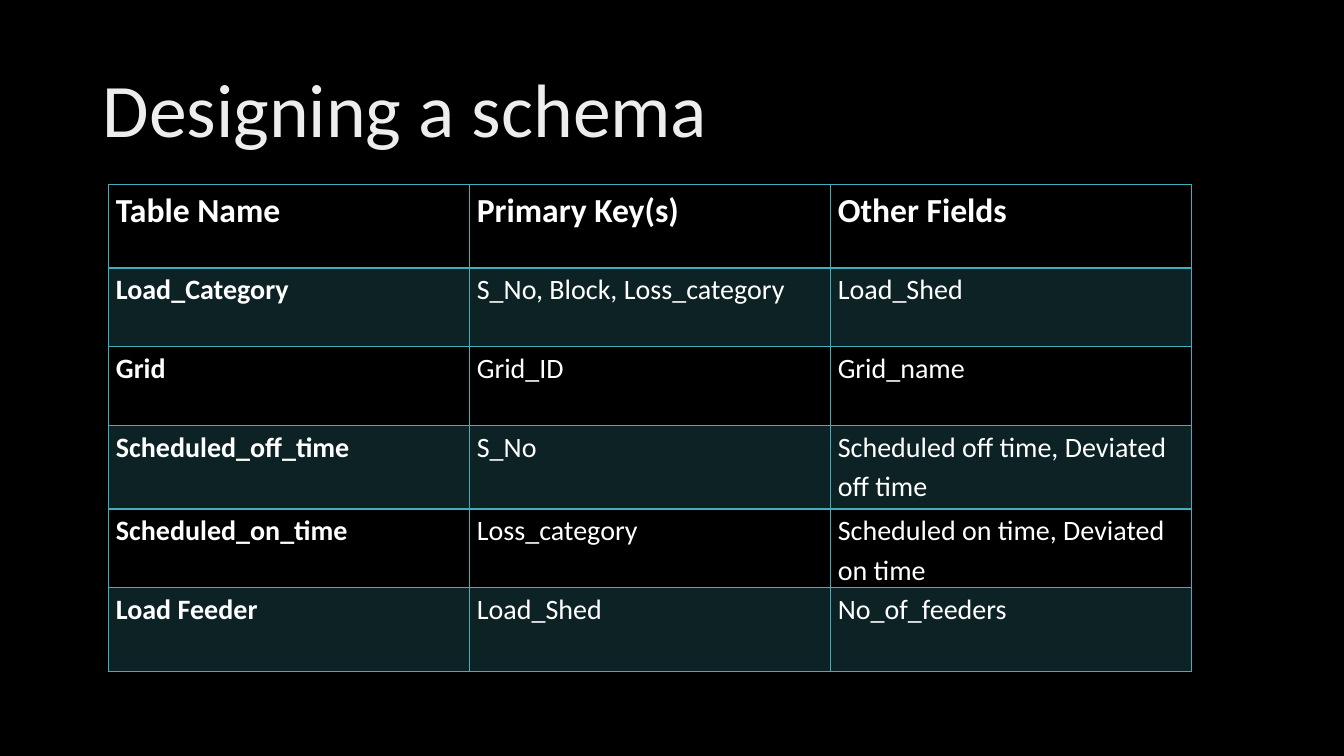
"""Build the slide "Designing a schema": a title above a table of schema tables and keys."""
from lxml import etree
from pptx import Presentation
from pptx import util as u
from pptx.dml.color import RGBColor
from pptx.enum import text
from pptx.oxml.ns import qn

COLORS = {"background": "000000", "title": "EDEDED", "text": "FFFFFF", "accent": "41AEBD"}
FONT = "Calibri"
ROW_HEIGHTS = [0.83, 0.78, 0.78, 0.83, 0.78, 0.83]
COLUMN_WIDTH = 3.58
SCHEMA = [
    ["Table Name", "Primary Key(s)", "Other Fields"],
    ["Load_Category", "S_No, Block, Loss_category", "Load_Shed"],
    ["Grid", "Grid_ID", "Grid_name"],
    ["Scheduled_off_time", "S_No", "Scheduled off time, Deviated off time"],
    ["Scheduled_on_time", "Loss_category", "Scheduled on time, Deviated on time"],
    ["Load Feeder", "Load_Shed", "No_of_feeders"],
]


def add_text(paragraph, content, size, color, bold, spacing):
    paragraph.line_spacing = spacing
    run = paragraph.add_run()
    run.text = content
    run.font.name = FONT
    run.font.size = u.Pt(size)
    run.font.bold = bold
    run.font.color.rgb = RGBColor.from_string(COLORS[color])


def add_border(cell, side, points):
    line = etree.SubElement(cell._tc.get_or_add_tcPr(), qn(f"a:ln{side}"), w=str(u.Pt(points)))
    fill = etree.SubElement(line, qn("a:solidFill"))
    etree.SubElement(fill, qn("a:srgbClr"), val=COLORS["accent"])


presentation = Presentation()
presentation.slide_width = u.Inches(13.33)
presentation.slide_height = u.Inches(7.5)
slide = presentation.slides.add_slide(presentation.slide_layouts[6])
slide.background.fill.solid()
slide.background.fill.fore_color.rgb = RGBColor.from_string(COLORS["background"])

title = slide.shapes.add_textbox(u.Inches(0.92), u.Inches(0.4), u.Inches(11.5), u.Inches(1.45))
title.text_frame.word_wrap = True
title.text_frame.vertical_anchor = text.MSO_ANCHOR.MIDDLE
add_text(title.text_frame.paragraphs[0], "Designing a schema", 54, "title", False, 0.9)

frame = slide.shapes.add_table(
    len(SCHEMA), len(SCHEMA[0]), u.Inches(1.08), u.Inches(1.83),
    u.Inches(COLUMN_WIDTH * len(SCHEMA[0])), u.Inches(sum(ROW_HEIGHTS)))
table = frame.table
table.horz_banding = False
for column in table.columns:
    column.width = u.Inches(COLUMN_WIDTH)

for row, (height, values) in enumerate(zip(ROW_HEIGHTS, SCHEMA)):
    table.rows[row].height = u.Inches(height)
    header = row == 0
    for column, value in enumerate(values):
        cell = table.cell(row, column)
        cell.margin_left = cell.margin_right = u.Inches(0.07)
        cell.margin_top = cell.margin_bottom = 0
        add_text(cell.text_frame.paragraphs[0], value, 24 if header else 20, "text",
                 header or column == 0, 1.15)
        for side in "LRTB":
            below_header = (row, side) in [(0, "B"), (1, "T")]
            add_border(cell, side, 2 if below_header else 1)
        if row % 2:
            cell.fill.solid()
            cell.fill.fore_color.rgb = RGBColor.from_string(COLORS["accent"])
            tint = cell._tc.tcPr.find(qn("a:solidFill")).find(qn("a:srgbClr"))
            etree.SubElement(tint, qn("a:alpha"), val="20000")
        else:
            cell.fill.background()

presentation.save("out.pptx")
